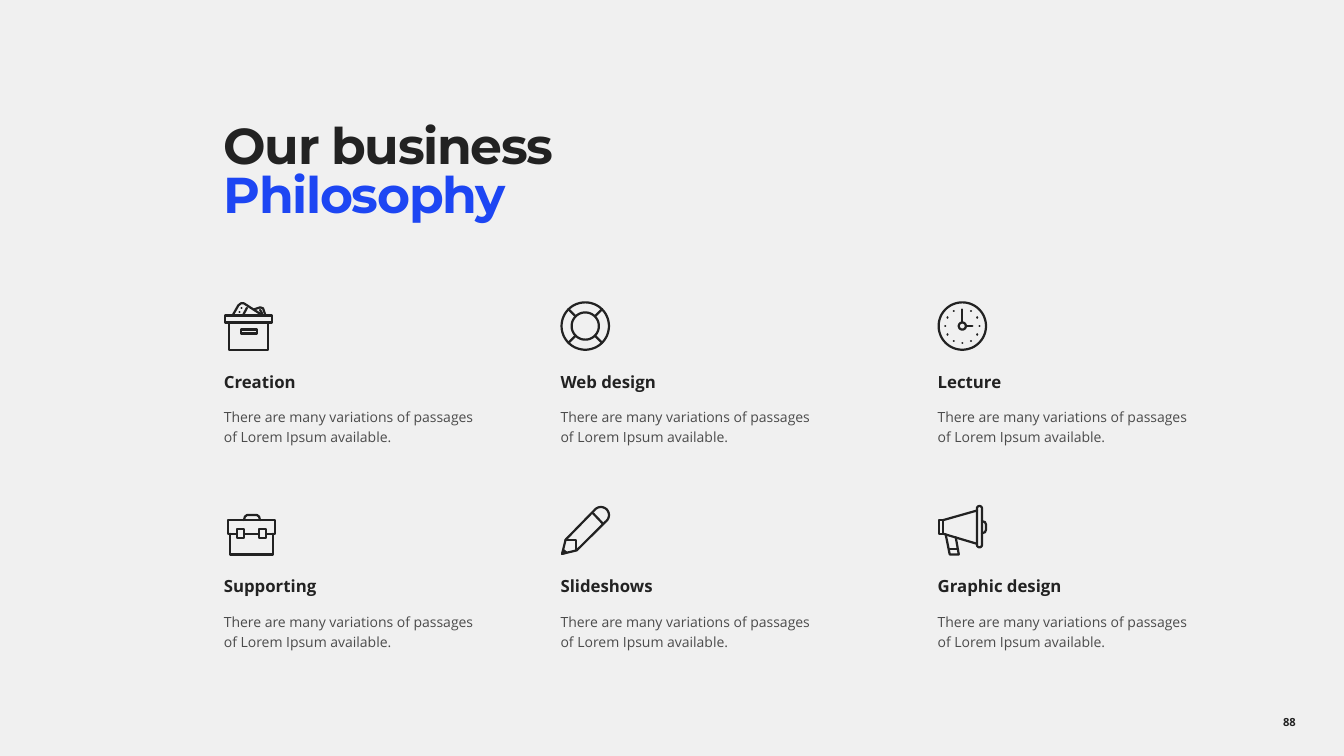
from math import cos, radians, sin

from lxml.etree import SubElement
from pptx import Presentation
from pptx.dml.color import RGBColor
from pptx.enum.text import MSO_ANCHOR, MSO_AUTO_SIZE, PP_ALIGN
from pptx.oxml.ns import qn
from pptx.util import Inches, Pt

COLORS = {"background": "F0F0F0", "dark": "222222", "accent": "1D46F3"}


def arc(center_x, center_y, radius, start=0, end=360):
    return [(center_x + radius * cos(radians(angle)), center_y + radius * sin(radians(angle)))
            for angle in range(start, end + 1, 5)]


def add_text(shapes, text, box, size, bold=False, spacing=1.0):
    shape = shapes.add_textbox(*[Inches(value) for value in box])
    frame = shape.text_frame
    frame.word_wrap = True
    frame.margin_left = frame.margin_right = 0
    frame.text = text
    paragraph = frame.paragraphs[0]
    paragraph.line_spacing = spacing
    font = paragraph.runs[0].font
    font.name, font.size, font.bold = "Open Sans", Pt(size), bold
    font.color.rgb = RGBColor.from_string(COLORS["dark"])
    return shape


# Strokes are in hundredths of an inch from the icon's top left corner.
box_icon = [
    [(1, 14), (48, 14), (48, 21), (1, 21), (1, 14)],
    [(5.5, 21), (5.5, 48), (44, 48), (44, 21)],
    [(17, 28), (33, 28), (33, 32), (17, 32), (17, 28)],
    [(9, 13.5), (14.5, 4), (17, 2), (20, 2), (37, 13)],
    [(23, 6.5), (19.5, 13)],
    [(30, 8), (36, 6), (39, 7), (41, 13)],
    [(36, 8.5), (38, 12)],
    [(15.5, 10.5), (15.7, 10.5)],
    [(17.5, 6.5), (17.7, 6.5)],
]
lifebuoy_icon = [arc(24.5, 24.5, 23.5), arc(24.5, 24.5, 13.5)]
for angle in range(45, 360, 90):
    lifebuoy_icon.append([arc(24.5, 24.5, radius, angle, angle)[0] for radius in (13.5, 23.5)])

clock_icon = [
    arc(24.5, 24.5, 23.5),
    arc(24.5, 24.5, 3.5),
    [(24.5, 21), (24.5, 8)],
    [(28, 24.5), (34.5, 24.5)],
]
for angle in range(-60, 270, 30):
    x, y = arc(24.5, 24.5, 17, angle, angle)[0]
    clock_icon.append([(x, y), (x + 0.1, y)])

briefcase_icon = [
    [(13, 27.5), (4, 27.5), (4, 14), (51, 14), (51, 27.5), (42, 27.5)],
    [(20, 27.5), (35, 27.5)],
    [(6, 27.5), (6, 48), (49, 48), (49, 27.5)],
    [(20, 14), (21, 10.5), (23, 9), (33, 9), (35, 10.5), (36, 14)],
]
for left in (13, 35):
    briefcase_icon.append([(left, 23), (left + 7, 23), (left + 7, 32), (left, 32), (left, 23)])

pencil_icon = [
    [(1.5, 47.5), (5, 33.5)] + arc(40, 9, 8, -135, 45) + [(16, 44), (1.5, 47.5)],
    [(32, 7), (41.5, 17)],
    [(5, 33.5), (15.5, 33.5), (15.5, 44)],
    [(1.5, 47.5), (3, 44), (5.5, 46), (1.5, 47.5)],
]
megaphone_icon = [
    [(1, 14), (5.5, 14), (5.5, 27.5), (1, 27.5), (1, 14)],
    [(5.5, 14), (39, 4.5)],
    [(5.5, 27.5), (39, 37.5)],
    arc(41.5, 2.5, 2.5, 180, 360) + arc(41.5, 38.5, 2.5, 0, 180) + [(39, 2.5)],
    [(44, 15), (47, 16), (48, 18.5), (48, 23.5), (47, 26), (44, 27)],
    [(8, 28), (12, 48), (21, 48), (18, 31)],
    [(12, 43), (20, 43)],
]

presentation = Presentation()
presentation.slide_width, presentation.slide_height = Inches(13.33), Inches(7.5)
slide = presentation.slides.add_slide(presentation.slide_layouts[5])
slide.background.fill.solid()
slide.background.fill.fore_color.rgb = RGBColor.from_string(COLORS["background"])

title = slide.shapes.title
title.left, title.top, title.width, title.height = [Inches(v) for v in (2.22, 1.04, 10.01, 1.37)]
frame = title.text_frame
frame.auto_size = MSO_AUTO_SIZE.NONE
frame.vertical_anchor = MSO_ANCHOR.TOP
frame.margin_left = frame.margin_right = frame.margin_bottom = 0
frame.margin_top = Inches(0.21)
frame.text = "Our business\vPhilosophy"
paragraph = frame.paragraphs[0]
paragraph.alignment = PP_ALIGN.LEFT
paragraph.line_spacing = 0.8
for run, color in zip(paragraph.runs, ("dark", "accent")):
    run.font.name, run.font.size, run.font.bold = "Montserrat", Pt(36), True
    run.font.color.rgb = RGBColor.from_string(COLORS[color])
    run.font._element.set("spc", "-100")

COLUMNS = (2.22, 5.56, 9.3)
items = [
    ("Creation", box_icon),
    ("Web design", lifebuoy_icon),
    ("Lecture", clock_icon),
    ("Supporting", briefcase_icon),
    ("Slideshows", pencil_icon),
    ("Graphic design", megaphone_icon),
]
for index, (heading, strokes) in enumerate(items):
    row, column = divmod(index, 3)
    left, top = COLUMNS[column], 2.99 + row * 2.03
    shapes = slide.shapes.add_group_shape().shapes

    builder = None
    for stroke in strokes:
        points = [(Inches(left + x / 100), Inches(top + y / 100)) for x, y in stroke]
        if builder is None:
            builder = shapes.build_freeform(*points[0])
        else:
            builder.move_to(*points[0])
        builder.add_line_segments(points[1:], close=False)
    icon = builder.convert_to_shape()
    icon.shadow.inherit = False
    icon.fill.background()
    icon.line.color.rgb = RGBColor.from_string(COLORS["dark"])
    icon.line.width = Pt(1.6)
    outline = icon._element.spPr.find(qn("a:ln"))
    outline.set("cap", "rnd")
    SubElement(outline, qn("a:round"))

    add_text(shapes, heading, (left, top + 0.7, 2.21, 0.25), 12, True, 0.7)
    body = add_text(shapes, "There are many variations of passages of Lorem Ipsum available.",
                    (left, top + 0.98, 2.62, 0.5), 10, spacing=1.2)
    for color in body._element.iter(qn("a:srgbClr")):
        SubElement(color, qn("a:alpha")).set("val", "80000")

number = add_text(slide.shapes, "88", (12.24, 6.96, 1.1, 0.4), 8, True)
number.text_frame.vertical_anchor = MSO_ANCHOR.MIDDLE
number.text_frame.paragraphs[0].alignment = PP_ALIGN.CENTER

presentation.save("out.pptx")
